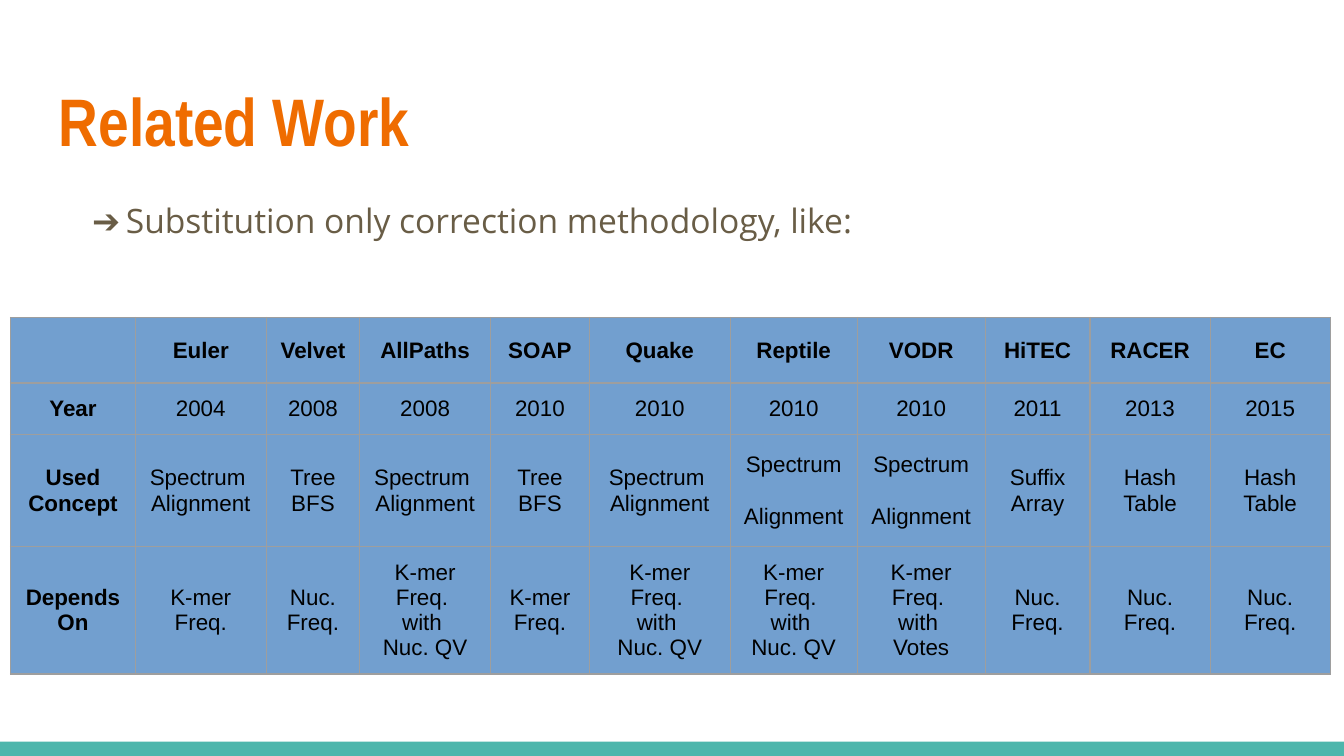
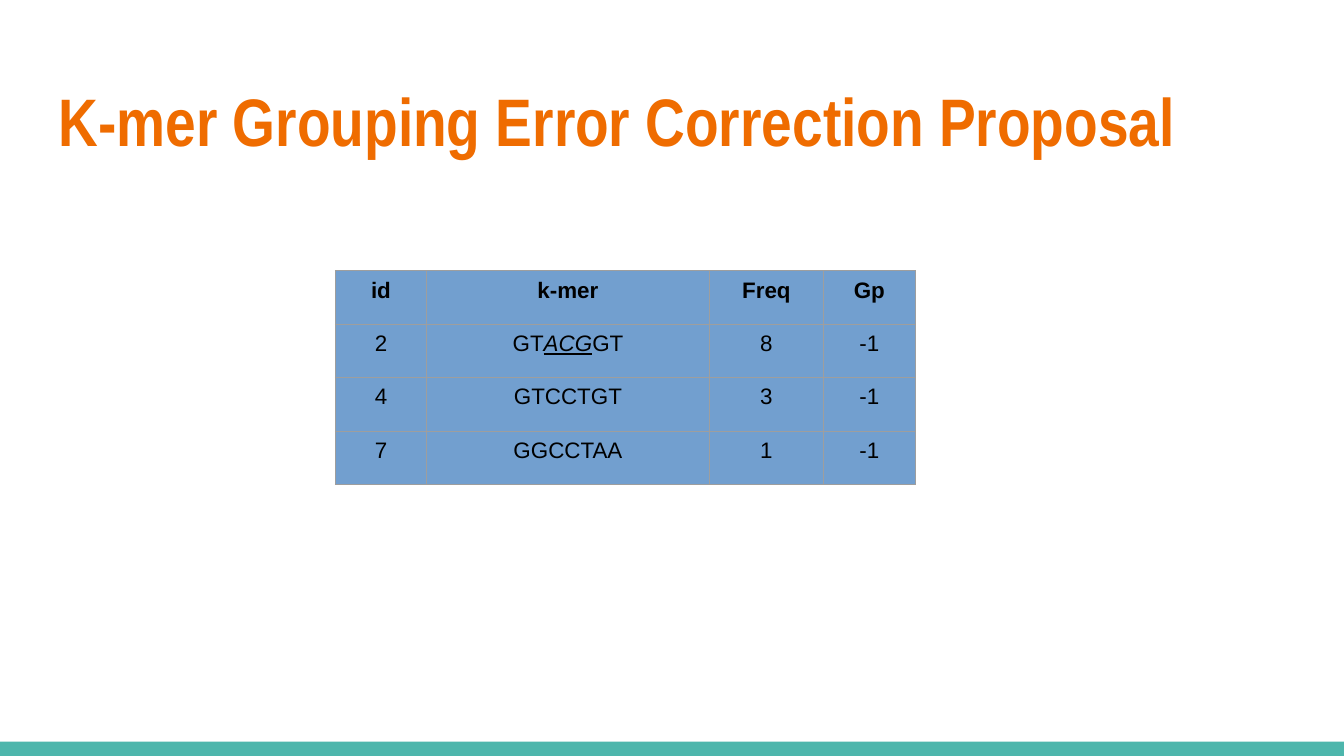
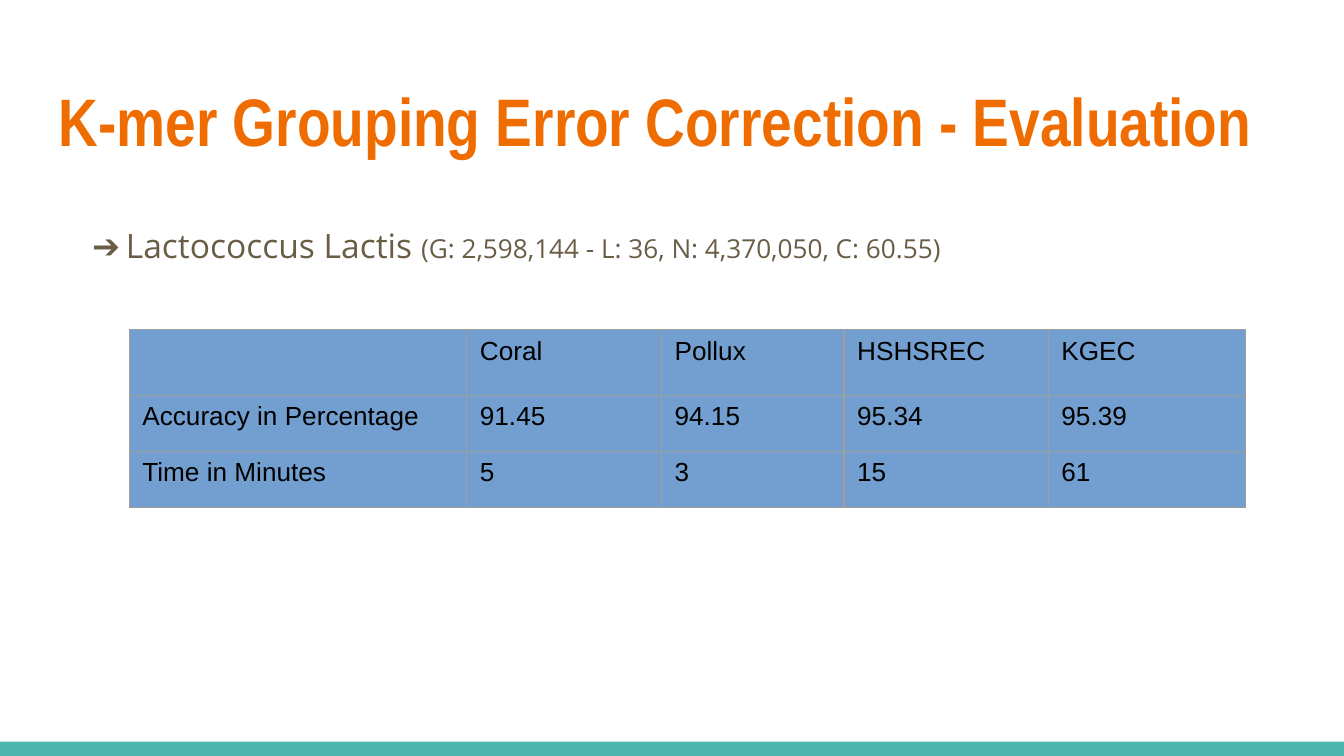
from pptx import Presentation
from pptx.dml.color import RGBColor as RGB
from pptx.enum.shapes import MSO_SHAPE as SHAPE
from pptx.enum.text import MSO_ANCHOR as ANCHOR, PP_ALIGN as ALIGN
from pptx.oxml.ns import qn
from pptx.util import Cm, Pt
from lxml.etree import SubElement as Sub

HUES = {
    "band": "4DB6AC",
    "title": "EF6C00",
    "body": "695D46",
    "cell": "729FCF",
    "edge": "9E9E9E",
    "ink": "000000",
}
WIDE, HIGH = 25.4, 14.29
LEFT, SPAN, PAD = 0.86, 23.67, 0.25

SPEC, TREE, HASH = "Spectrum \nAlignment", "Tree\nBFS", "Hash Table"
KMER, NUC = "K-mer Freq.", "Nuc. Freq."
MIXED = KMER + " \nwith \nNuc. QV"
VOTES = KMER + " \nwith \nVotes"

WORKS = [
    ["", "Euler", "Velvet", "AllPaths", "SOAP", "Quake", "Reptile", "VODR",
     "HiTEC", "RACER", "EC"],
    ["Year", "2004", "2008", "2008", "2010", "2010", "2010", "2010",
     "2011", "2013", "2015"],
    ["Used Concept", SPEC, TREE, SPEC, TREE, SPEC, SPEC, SPEC,
     "Suffix Array", HASH, HASH],
    ["Depends On", KMER, NUC, MIXED, KMER, MIXED, MIXED, VOTES,
     NUC, NUC, NUC],
]
KMERS = [
    ["id", "k-mer", "Freq"],
    ["2", ("GT", "ACG", "GT"), "8"],
    ["4", "GTCCTGT", "3"],
    ["7", "GGCCTAA", "1"],
]
GROUPS = [["Gp"], ["-1"], ["-1"], ["-1"]]
SCORES = [
    ["", "Coral", "Pollux", "HSHSREC", "KGEC"],
    ["Accuracy in Percentage", "91.45", "94.15", "95.34", "95.39"],
    ["Time in Minutes", "5", "3", "15", "61"],
]


def hue(name):
    """Return the named colour."""
    return RGB.from_string(HUES[name])


def style(run, face, size, tone, bold=False):
    """Set the font of a run."""
    font = run.font
    font.name, font.size, font.bold = face, Pt(size), bold
    font.color.rgb = hue(tone)


def add_box(slide, top, high, inset=PAD):
    """Add a wrapping text box across the slide and return its paragraph."""
    frame = slide.shapes.add_textbox(Cm(LEFT), Cm(top), Cm(SPAN), Cm(high)).text_frame
    frame.word_wrap = True
    frame.margin_left = frame.margin_right = frame.margin_bottom = Cm(PAD)
    frame.margin_top = Cm(inset)
    return frame.paragraphs[0]


def add_page(deck, title):
    """Add a blank slide with the bottom band and a title."""
    slide = deck.slides.add_slide(deck.slide_layouts[6])
    band = slide.shapes.add_shape(SHAPE.RECTANGLE, 0, Cm(14.02), Cm(WIDE), Cm(0.27))
    band.shadow.inherit = False
    band.fill.solid()
    band.fill.fore_color.rgb = hue("band")
    band.line.fill.background()
    par = add_box(slide, 1.25, 1.96)
    par.text = title
    style(par.runs[0], "Arial Narrow", 36, "title", True)
    return slide


def add_point(slide, top, inset, text, note=""):
    """Add an arrow bullet with an optional smaller note."""
    par = add_box(slide, top, 9.17, inset)
    par.text = text
    par.space_after = Pt(16)
    style(par.runs[0], "Open Sans", 18, "body")
    if note:
        run = par.add_run()
        run.text = note
        style(run, "Open Sans", 14, "body")
    props = par._p.get_or_add_pPr()
    props.set("marL", str(Cm(1.27)))
    props.set("indent", str(-Cm(0.64)))
    tint = Sub(props, qn("a:buClr"))
    Sub(tint, qn("a:srgbClr"), val=HUES["body"])
    Sub(props, qn("a:buFont"), typeface="Open Sans")
    Sub(props, qn("a:buChar"), char="➔")


def add_edges(cell):
    """Draw the four borders of a cell beneath its fill."""
    props = cell._tc.get_or_add_tcPr()
    for side in ("L", "R", "T", "B"):
        line = Sub(props, qn(f"a:ln{side}"), w=str(Pt(0.75)))
        fill = Sub(line, qn("a:solidFill"))
        Sub(fill, qn("a:srgbClr"), val=HUES["edge"])


def fill_cell(cell, text, size, bold, align, anchor):
    """Write and format one table cell; a tuple gives separate runs."""
    add_edges(cell)
    cell.fill.solid()
    cell.fill.fore_color.rgb = hue("cell")
    cell.margin_left = cell.margin_right = Cm(0.25)
    cell.margin_top = cell.margin_bottom = Cm(0.13)
    cell.vertical_anchor = anchor
    par = cell.text_frame.paragraphs[0]
    par.alignment = align
    first, *rest = text if isinstance(text, tuple) else (text,)
    par.text = first
    for part in rest:
        par.add_run().text = part
    for gap in par._p.findall(qn("a:br")):
        Sub(gap, qn("a:rPr"), sz=str(size * 100))
    for run in par.runs:
        style(run, "Arial", size, "ink", bold)


def add_grid(slide, left, top, cols, rows, data, size=12, head=True, side=False,
             align=ALIGN.CENTER, anchor=ANCHOR.TOP):
    """Add a table with the given column widths and row heights."""
    grid = slide.shapes.add_table(
        len(rows), len(cols), Cm(left), Cm(top), Cm(sum(cols)), Cm(sum(rows))).table
    grid.first_row = grid.horz_banding = False
    for col, wide in zip(grid.columns, cols):
        col.width = Cm(wide)
    for r, (high, texts) in enumerate(zip(rows, data)):
        grid.rows[r].height = Cm(high)
        for c, text in enumerate(texts):
            bold = (head and r == 0) or (side and c == 0)
            fill_cell(grid.cell(r, c), text, size, bold, align, anchor)
    return grid


def add_works(deck):
    """Build the slide on related work."""
    slide = add_page(deck, "Related Work")
    add_point(slide, 3.53, PAD, "Substitution only correction methodology, like:")
    cols = [2.36, 2.47, 1.77, 2.47, 1.87, 2.66, 2.4, 2.42, 1.98, 2.27, 2.27]
    add_grid(slide, 0.2, 6, cols, [1.24, 0.98, 2.11, 2.41], WORKS,
             side=True, anchor=ANCHOR.MIDDLE)


def add_plan(deck):
    """Build the slide on the proposal."""
    slide = add_page(deck, "K-mer Grouping Error Correction Proposal")
    cols, rows = [1.72, 5.35, 2.15], [1.01] * 4
    left, top = 6.34, 5.12
    grid = add_grid(slide, left, top, cols, rows, KMERS)
    font = grid.cell(1, 1).text_frame.paragraphs[0].runs[1].font
    font.italic = font.underline = True
    add_grid(slide, left + sum(cols), top, [1.74], rows, GROUPS)


def add_scores(deck):
    """Build the slide on the evaluation."""
    slide = add_page(deck, "K-mer Grouping Error Correction - Evaluation")
    add_point(slide, 2.95, 2.1, "Lactococcus Lactis ",
              "(G: 2,598,144 - L: 36, N: 4,370,050, C: 60.55)")
    add_grid(slide, 2.44, 6.23, [6.38, 3.68, 3.45, 3.86, 3.73], [1.24, 1.06, 1.06],
             SCORES, size=14, head=False, align=ALIGN.LEFT)


def main():
    """Build and save the deck."""
    deck = Presentation()
    deck.slide_width, deck.slide_height = Cm(WIDE), Cm(HIGH)
    add_works(deck)
    add_plan(deck)
    add_scores(deck)
    deck.save("out.pptx")


if __name__ == "__main__":
    main()
